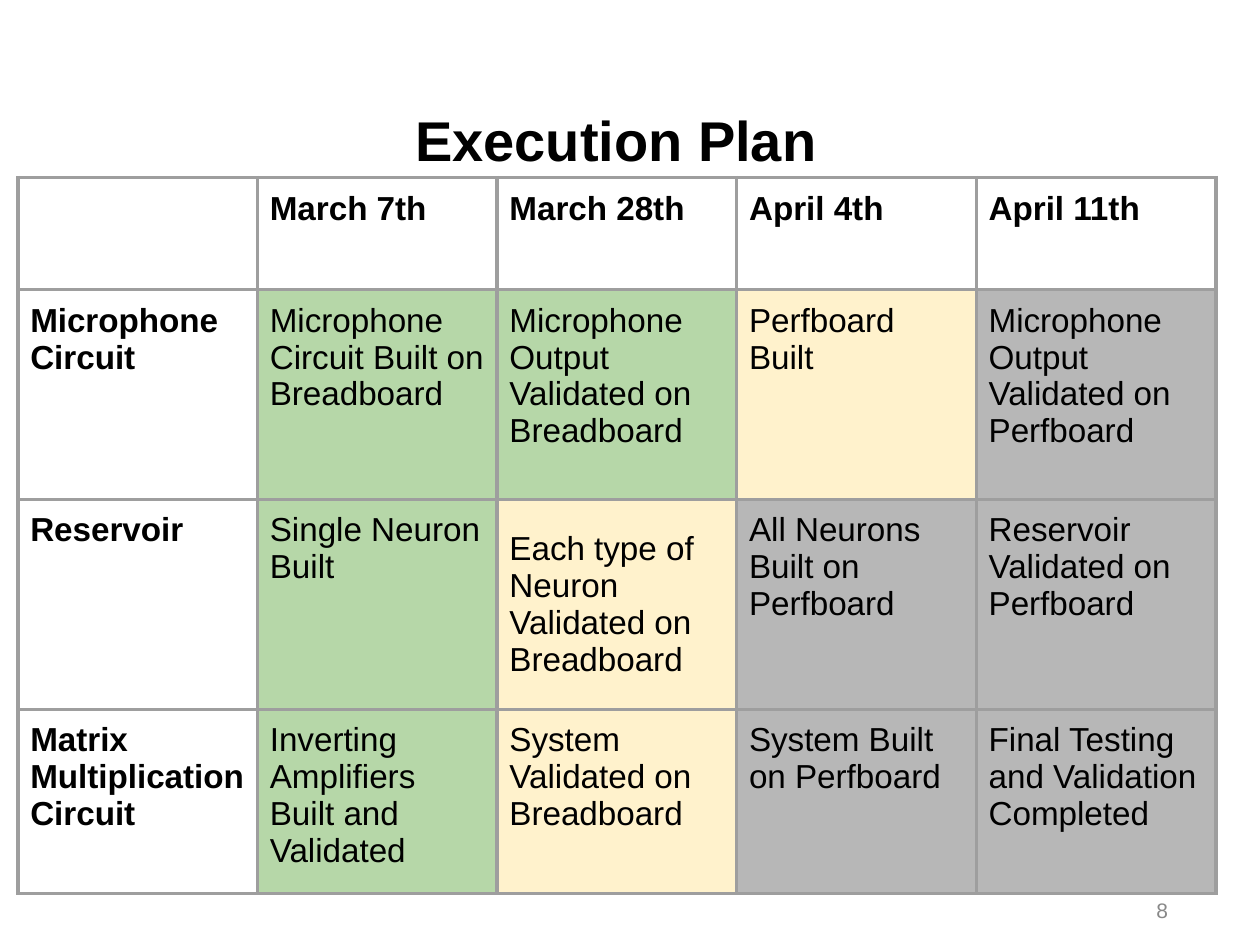
from lxml import etree
from pptx import Presentation
from pptx.dml.color import RGBColor
from pptx.enum.text import MSO_ANCHOR, PP_ALIGN
from pptx.oxml.ns import qn
from pptx.util import Cm, Pt

TOP, MIDDLE = MSO_ANCHOR.TOP, MSO_ANCHOR.MIDDLE
LEFT, CENTER = PP_ALIGN.LEFT, PP_ALIGN.CENTER
DONE, ACTIVE, PLANNED = "B6D7A8", "FFF2CC", "B7B7B7"


def rgb(value):
    return RGBColor.from_string(value)


def write(tf, text, size=19, color="000000", bold=False, align=LEFT, font="Arial"):
    """Fill a text frame, one paragraph per line of text."""
    tf.word_wrap = True
    for i, line in enumerate(text.split("\n")):
        p = tf.paragraphs[0] if i == 0 else tf.add_paragraph()
        p.alignment = align
        r = p.add_run()
        r.text = line
        r.font.name, r.font.size, r.font.bold = font, Pt(size), bold
        r.font.color.rgb = rgb(color)


def set_borders(cell, color, width):
    tc_pr = cell._tc.get_or_add_tcPr()
    for side in ("a:lnL", "a:lnR", "a:lnT", "a:lnB"):
        ln = etree.SubElement(tc_pr, qn(side), w=str(Pt(width)))
        fill = etree.SubElement(ln, qn("a:solidFill"))
        etree.SubElement(fill, qn("a:srgbClr"), val=color)


class SlideBuilder:
    border = "9E9E9E"
    border_width = 2.25
    inset = 0.25

    def __init__(self, prs):
        self.slide = prs.slides.add_slide(prs.slide_layouts[6])

    def text(self, left, top, width, height, text, **style):
        sp = self.slide.shapes.add_textbox(Cm(left), Cm(top), Cm(width), Cm(height))
        sp.text_frame.vertical_anchor = MIDDLE
        write(sp.text_frame, text, **style)

    def table(self, left, top, col_width, row_heights, rows):
        """Add a table whose cells are (text, fill, anchor)."""
        n_cols = len(rows[0])
        frame = self.slide.shapes.add_table(
            len(rows), n_cols, Cm(left), Cm(top),
            Cm(col_width * n_cols), Cm(sum(row_heights)))
        table = frame.table
        table.first_row = table.horz_banding = False
        for col in table.columns:
            col.width = Cm(col_width)
        for i, (height, row) in enumerate(zip(row_heights, rows)):
            table.rows[i].height = Cm(height)
            for j, content in enumerate(row):
                self.cell(table.cell(i, j), *content, bold=i == 0 or j == 0)
        return table

    def cell(self, cell, text, fill=None, anchor=TOP, bold=False):
        set_borders(cell, self.border, self.border_width)
        cell.margin_left = cell.margin_right = Cm(self.inset)
        cell.margin_top = cell.margin_bottom = Cm(self.inset)
        cell.vertical_anchor = anchor
        if fill:
            cell.fill.solid()
            cell.fill.fore_color.rgb = rgb(fill)
        else:
            cell.fill.background()
        if text:
            write(cell.text_frame, text, bold=bold)


PLAN = [
    [("",), ("March 7th",), ("March 28th",), ("April 4th",), ("April 11th",)],
    [("Microphone Circuit",),
     ("Microphone Circuit Built on Breadboard", DONE),
     ("Microphone Output Validated on Breadboard", DONE),
     ("Perfboard Built", ACTIVE),
     ("Microphone Output Validated on Perfboard", PLANNED)],
    [("Reservoir",),
     ("Single Neuron\nBuilt", DONE),
     ("Each type of Neuron Validated on Breadboard", ACTIVE, MIDDLE),
     ("All Neurons Built on Perfboard", PLANNED),
     ("Reservoir Validated on Perfboard", PLANNED)],
    [("Matrix Multiplication Circuit",),
     ("Inverting Amplifiers Built and Validated", DONE),
     ("System Validated on Breadboard", ACTIVE),
     ("System Built on Perfboard", PLANNED),
     ("Final Testing and Validation Completed", PLANNED)],
]


def main():
    prs = Presentation()
    prs.slide_width, prs.slide_height = Cm(25.4), Cm(19.05)
    s = SlideBuilder(prs)
    s.text(0.99, 1.68, 22.86, 2.24, "Execution Plan", size=32, bold=True, align=CENTER)
    s.text(23.06, 17.83, 2.69, 1.02, "8", size=12, color="888888")
    s.table(0.36, 3.58, 4.83, [2.26, 4.23, 4.23, 3.49], PLAN)
    prs.save("out.pptx")


if __name__ == "__main__":
    main()
